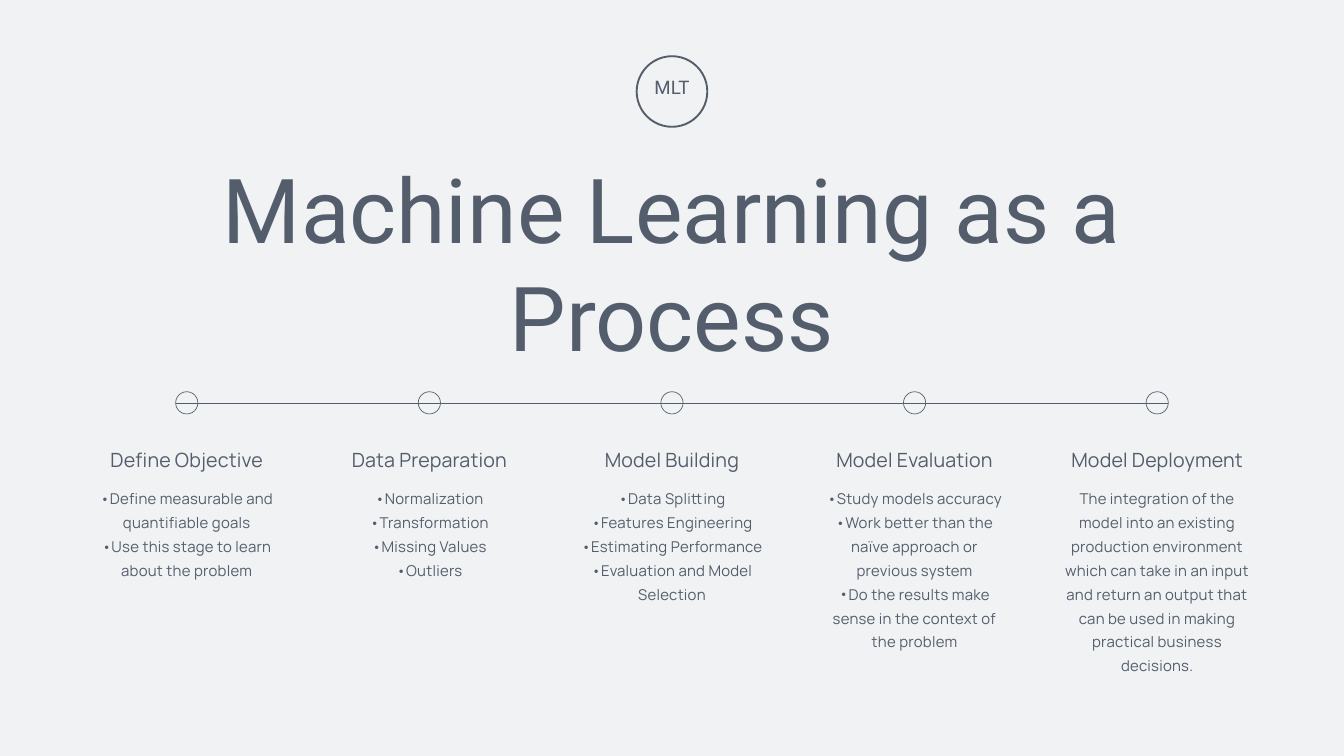
from lxml.etree import SubElement
from pptx import Presentation
from pptx.dml.color import RGBColor
from pptx.enum.shapes import MSO_CONNECTOR, MSO_SHAPE
from pptx.enum.text import PP_ALIGN
from pptx.oxml.ns import qn
from pptx.util import Cm, Pt

SLATE = RGBColor(0x53, 0x5D, 0x6B)
PALE = RGBColor(0xF0, 0xF2, 0xF4)

SLIDE_WIDTH, SLIDE_HEIGHT = 50.8, 28.58
STEP_PITCH, STEP_WIDTH = 9.17, 7.2
MARKER_SIZE = 0.84

STEPS = [
    ("Define Objective", True, [
        "Define measurable and quantifiable goals",
        "Use this stage to learn about the problem"]),
    ("Data Preparation", True, [
        "Normalization", "Transformation", "Missing Values", "Outliers"]),
    ("Model Building", True, [
        "Data Splitting", "Features Engineering", "Estimating Performance",
        "Evaluation and Model Selection"]),
    ("Model Evaluation", True, [
        "Study models accuracy",
        "Work better than the naïve approach or previous system",
        "Do the results make sense in the context of the problem"]),
    ("Model Deployment", False, [
        "The integration of the model into an existing production environment "
        "which can take in an input and return an output that can be used in "
        "making practical business decisions."]),
]


def add_text(page, left, top, width, height, lines, font, size, leading,
             tracking=0, bulleted=False):
    """Add a centred text box with one paragraph per line."""
    box = page.shapes.add_textbox(Cm(left), Cm(top), Cm(width), Cm(height))
    frame = box.text_frame
    frame.word_wrap = True
    frame.margin_left = frame.margin_right = 0
    frame.margin_top = frame.margin_bottom = 0
    frame.text = "\n".join(lines)
    for para in frame.paragraphs:
        para.alignment = PP_ALIGN.CENTER
        para.line_spacing = Pt(leading)
        if bulleted:
            properties = para._p.get_or_add_pPr()
            properties.set("marL", "0")
            properties.set("indent", "0")
            SubElement(properties, qn("a:buFont"), typeface=font)
            SubElement(properties, qn("a:buChar"), char="•")
        for span in para.runs:
            span.font.name = font
            span.font.size = Pt(size)
            span.font.color.rgb = SLATE
            if tracking:
                span._r.get_or_add_rPr().set("spc", str(tracking))


def add_ring(page, center, middle, size, weight):
    """Add an unfilled circle around a centre point."""
    ring = page.shapes.add_shape(
        MSO_SHAPE.OVAL, Cm(center - size / 2), Cm(middle - size / 2),
        Cm(size), Cm(size))
    ring.shadow.inherit = False
    ring.fill.background()
    ring.line.color.rgb = SLATE
    ring.line.width = Pt(weight)


def add_header(page, left, top, width):
    """Add the ringed monogram and the title below it."""
    center = left + width / 2
    add_ring(page, center, top + 1.37, 2.67, 2)
    add_text(page, center - 1, top + 0.64, 2, 0.91, ["MLT"], "Roboto", 20, 28)
    add_text(page, left, top + 3.73, width, 8.13,
             ["Machine Learning as a Process"], "Roboto", 96, 115.2)


def add_timeline(page, left, middle, width):
    """Add the horizontal line that the step markers sit on."""
    line = page.shapes.add_connector(
        MSO_CONNECTOR.STRAIGHT, Cm(left), Cm(middle),
        Cm(left + width), Cm(middle))
    line.line.color.rgb = SLATE
    line.line.width = Pt(0.75)
    SubElement(line._element.spPr, qn("a:effectLst"))


def add_step(page, left, middle, width, step):
    """Add one marker with its heading and description."""
    heading, bulleted, lines = step
    add_ring(page, left + width / 2, middle, MARKER_SIZE, 0.75)
    add_text(page, left, middle + 1.56, width, 0.97, [heading],
             "Manrope", 21, 29.4, 20)
    add_text(page, left, middle + 3.06, width, 0.9 * 8, lines,
             "Manrope", 16, 25.6, 30, bulleted)


def main():
    """Build the slide and save it."""
    deck = Presentation()
    deck.slide_width, deck.slide_height = Cm(SLIDE_WIDTH), Cm(SLIDE_HEIGHT)
    page = deck.slides.add_slide(deck.slide_layouts[6])
    page.background.fill.solid()
    page.background.fill.fore_color.rgb = PALE

    add_header(page, 4.22, 2.09, SLIDE_WIDTH - 2 * 4.22)
    middle = 15.23
    span_width = STEP_PITCH * (len(STEPS) - 1)
    first_center = (SLIDE_WIDTH - span_width) / 2
    add_timeline(page, first_center - MARKER_SIZE / 2, middle,
                 span_width + MARKER_SIZE)
    for index, step in enumerate(STEPS):
        left = first_center + index * STEP_PITCH - STEP_WIDTH / 2
        add_step(page, left, middle, STEP_WIDTH, step)
    deck.save("out.pptx")


if __name__ == "__main__":
    main()
